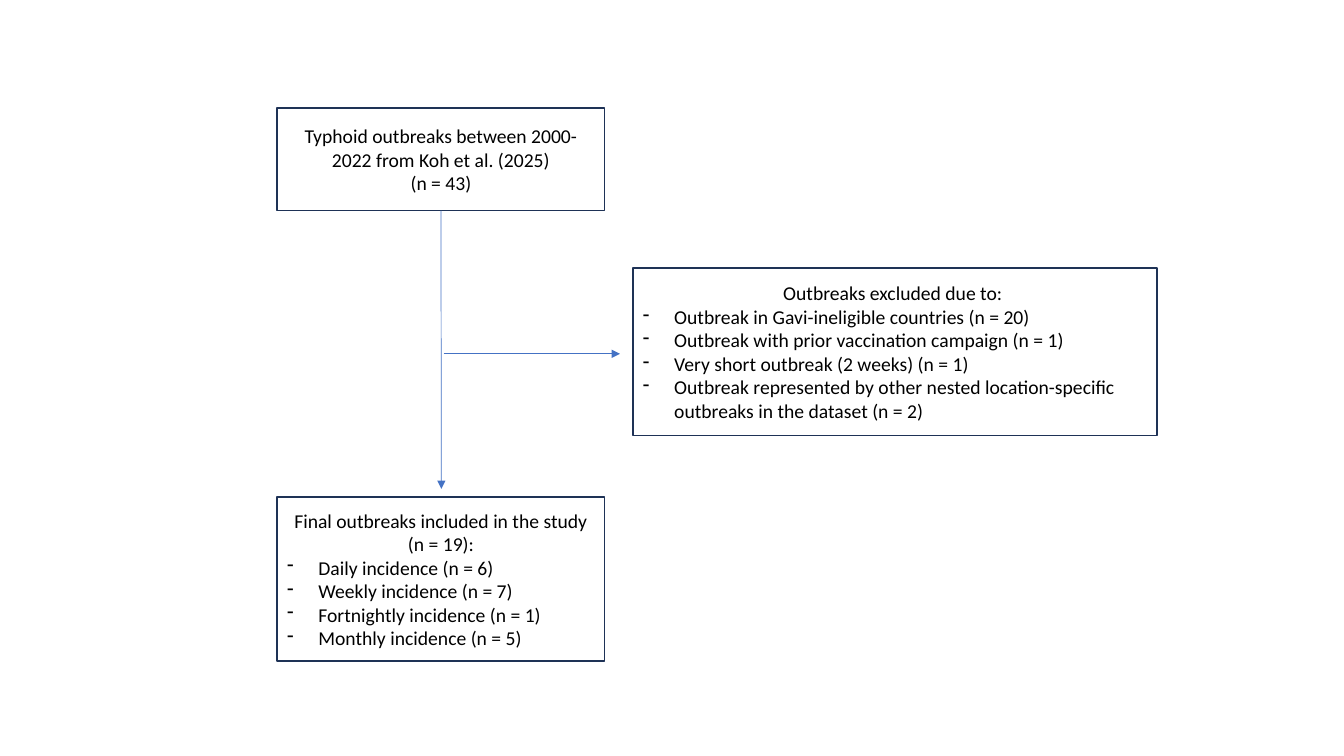
from lxml.etree import SubElement
from pptx import Presentation
from pptx.dml.color import RGBColor
from pptx.enum.shapes import MSO_CONNECTOR, MSO_SHAPE
from pptx.enum.text import MSO_ANCHOR, PP_ALIGN
from pptx.oxml.ns import qn
from pptx.util import Inches, Pt

BORDER = RGBColor(0x1E, 0x32, 0x56)
ARROW = RGBColor(0x44, 0x72, 0xC4)
INK = RGBColor(0x00, 0x00, 0x00)

SLIDE_WIDTH, SLIDE_HEIGHT = Inches(13.33), Inches(7.5)
COLUMNS, ROWS = 80, 45
HANGING = Inches(0.31)
TEXT_FORMAT = {"name": "Calibri", "size": Pt(14)}
FRAME_FORMAT = {"word_wrap": True, "vertical_anchor": MSO_ANCHOR.MIDDLE}

SOURCE_BOX = (16.5, 6.42, 19.5, 6.12)
EXCLUDED_BOX = (37.68, 15.96, 31.2, 9.96)
INCLUDED_BOX = (16.5, 29.58, 19.5, 9.78)
FLOW_END = (26.27, 29.1)
BRANCH_START, BRANCH_END = (26.4, 21.06), (36.9, 21.06)

SOURCE_HEADING = [
    "Typhoid outbreaks between 2000-2022 from Koh et al. (2025)",
    "(n = 43)",
]
EXCLUDED_HEADING = ["Outbreaks excluded due to: "]
EXCLUSION_REASONS = [
    "Outbreak in Gavi-ineligible countries (n = 20)",
    "Outbreak with prior vaccination campaign (n = 1)",
    "Very short outbreak (2 weeks) (n = 1)",
    "Outbreak represented by other nested location-specific outbreaks in the dataset (n = 2)",
]
INCLUDED_HEADING = ["Final outbreaks included in the study", "(n = 19):"]
INCIDENCE_COUNTS = [
    "Daily incidence (n = 6)",
    "Weekly incidence (n = 7)",
    "Fortnightly incidence (n = 1)",
    "Monthly incidence (n = 5)",
]


def across(columns):
    return round(SLIDE_WIDTH * columns / COLUMNS)


def down(rows):
    return round(SLIDE_HEIGHT * rows / ROWS)


def apply_format(target, values):
    for attribute, value in values.items():
        setattr(target, attribute, value)


def add_dash(paragraph):
    properties = paragraph._p.get_or_add_pPr()
    properties.set("marL", str(HANGING))
    properties.set("indent", str(-HANGING))
    SubElement(properties, qn("a:buFontTx"))
    SubElement(properties, qn("a:buChar"), char="-")


def add_stage(slide, box, heading, items=()):
    left, top, width, height = box
    stage = slide.shapes.add_shape(
        MSO_SHAPE.RECTANGLE, across(left), down(top), across(width), down(height)
    )
    stage.shadow.inherit = False
    stage.fill.background()
    stage.line.color.rgb = BORDER
    stage.line.width = Pt(1)
    frame = stage.text_frame
    apply_format(frame, FRAME_FORMAT)
    for index, wording in enumerate([*heading, *items]):
        paragraph = frame.add_paragraph() if index else frame.paragraphs[0]
        if index < len(heading):
            paragraph.alignment = PP_ALIGN.CENTER
        else:
            paragraph.alignment = PP_ALIGN.LEFT
            add_dash(paragraph)
        run = paragraph.add_run()
        run.text = wording
        apply_format(run.font, TEXT_FORMAT)
        run.font.color.rgb = INK
    return stage


def add_arrow(slide, start, end):
    arrow = slide.shapes.add_connector(
        MSO_CONNECTOR.STRAIGHT,
        across(start[0]), down(start[1]), across(end[0]), down(end[1]),
    )
    arrow.line.color.rgb = ARROW
    arrow.line.width = Pt(0.5)
    SubElement(arrow.line._get_or_add_ln(), qn("a:tailEnd"), type="triangle")
    SubElement(arrow._element.spPr, qn("a:effectLst"))
    return arrow


def add_flow(slide):
    source = add_stage(slide, SOURCE_BOX, SOURCE_HEADING)
    add_stage(slide, EXCLUDED_BOX, EXCLUDED_HEADING, EXCLUSION_REASONS)
    left, top, width, height = SOURCE_BOX
    flow = add_arrow(slide, (left + width / 2, top + height), FLOW_END)
    flow.begin_connect(source, 2)
    add_arrow(slide, BRANCH_START, BRANCH_END)
    add_stage(slide, INCLUDED_BOX, INCLUDED_HEADING, INCIDENCE_COUNTS)


def main():
    presentation = Presentation()
    presentation.slide_width = SLIDE_WIDTH
    presentation.slide_height = SLIDE_HEIGHT
    add_flow(presentation.slides.add_slide(presentation.slide_layouts[6]))
    presentation.save("out.pptx")


if __name__ == "__main__":
    main()
